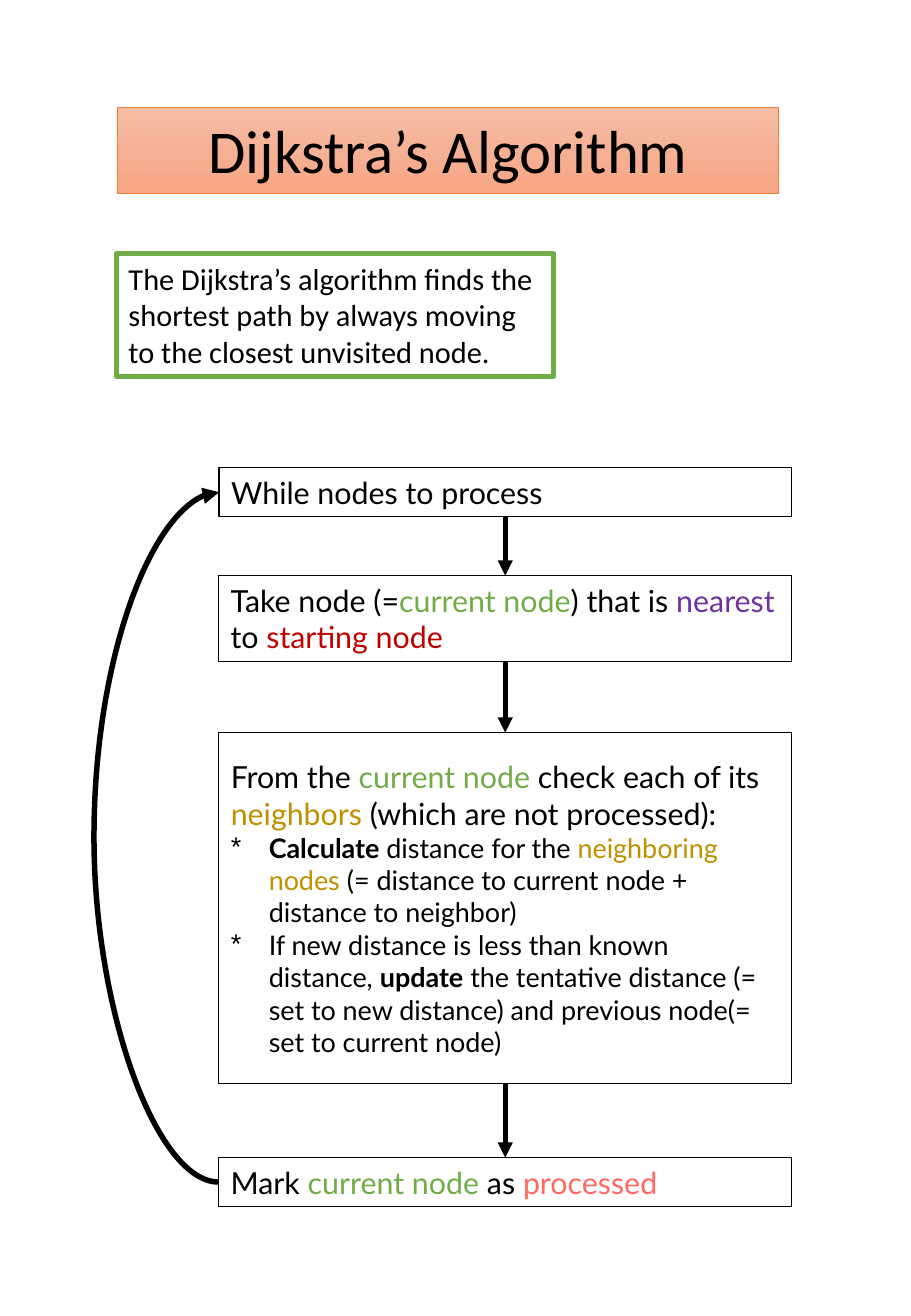
from copy import deepcopy
from dataclasses import dataclass

from pptx import Presentation
from pptx.dml.color import RGBColor
from pptx.enum.shapes import MSO_CONNECTOR
from pptx.enum.text import MSO_ANCHOR, MSO_AUTO_SIZE, PP_ALIGN
from pptx.oxml.ns import qn
from pptx.shapes.autoshape import Shape
from pptx.shapes.connector import Connector
from pptx.util import Pt
from lxml.etree import SubElement

BLACK = RGBColor(0x00, 0x00, 0x00)
GREEN = RGBColor(0x70, 0xAD, 0x47)
PURPLE = RGBColor(0x70, 0x30, 0xA0)
RED = RGBColor(0xC0, 0x00, 0x00)
GOLD = RGBColor(0xBF, 0x90, 0x00)
CORAL = RGBColor(0xFF, 0x69, 0x61)
ORANGE = RGBColor(0xED, 0x7D, 0x31)
BLEND = [(0, RGBColor(0xF7, 0xBD, 0xA5)),
         (0.5, RGBColor(0xF5, 0xB1, 0x96)),
         (1, RGBColor(0xF8, 0xA5, 0x82))]

LEFT, WIDTH = 129.6, 339.8
INDENT = 22.5
NUDGE = 0.3   # the first step sits slightly right of the others
BULGE = 71.1  # reach of the loop to the left of the steps


@dataclass
class Run:
    text: str
    color: RGBColor = BLACK
    bold: bool = False


@dataclass
class Para:
    runs: list[Run]
    size: float = 18
    font: str = "Lato"
    bullet: str = ""
    align: PP_ALIGN = PP_ALIGN.LEFT


@dataclass
class Box:
    left: float
    top: float
    width: float
    height: float
    paras: list[Para]
    line: RGBColor = BLACK
    weight: float = 0.75
    anchor: MSO_ANCHOR = MSO_ANCHOR.MIDDLE


def write(shape: Shape, paras: list[Para]) -> None:
    frame = shape.text_frame
    for n, para in enumerate(paras):
        p = frame.add_paragraph() if n else frame.paragraphs[0]
        p.alignment = para.align
        p.space_before = Pt(0)
        props = p._p.get_or_add_pPr()
        if para.bullet:
            props.set("marL", str(Pt(INDENT)))
            props.set("indent", str(Pt(-INDENT)))
            SubElement(props, qn("a:buChar"), char=para.bullet)
        else:
            props.set("marL", "0")
            props.set("indent", "0")
            SubElement(props, qn("a:buNone"))
        p.font.size = Pt(para.size)
        p.font.name = para.font
        p.font.color.rgb = BLACK
        for part in para.runs:
            run = p.add_run()
            run.text = part.text
            if part.color != BLACK:
                run.font.color.rgb = part.color
            if part.bold:
                run.font.bold = True


def fit(shape: Shape, box: Box) -> Shape:
    shape.left, shape.top = Pt(box.left), Pt(box.top)
    shape.width, shape.height = Pt(box.width), Pt(box.height)
    shape.line.color.rgb = box.line
    shape.line.width = Pt(box.weight)
    frame = shape.text_frame
    frame.word_wrap = True
    frame.auto_size = MSO_AUTO_SIZE.NONE
    frame.vertical_anchor = box.anchor
    write(shape, box.paras)
    return shape


def join(kind: MSO_CONNECTOR, start: Shape, out: int,
         end: Shape, into: int, weight: float) -> Connector:
    arrow = slide.shapes.add_connector(kind, 0, 0, 0, 0)
    arrow.begin_connect(start, out)
    arrow.end_connect(end, into)
    arrow.line.color.rgb = BLACK
    arrow.line.width = Pt(weight)
    props = arrow._element.spPr
    SubElement(props.find(qn("a:ln")), qn("a:tailEnd"), type="triangle")
    SubElement(props, qn("a:effectLst"))
    return arrow


deck = Presentation()
deck.slide_width, deck.slide_height = Pt(540), Pt(780)
slide = deck.slides.add_slide(deck.slide_layouts[1])
title, body = slide.placeholders

# Title banner
fit(title, Box(69.8, 63.4, 391.7, 51.1,
               [Para([Run("Dijkstra’s Algorithm")], 36, "Calibri",
                     align=PP_ALIGN.CENTER)],
               ORANGE, 0.5, MSO_ANCHOR.TOP))
title.fill.gradient()
title.fill.gradient_angle = 270
stops = title._element.spPr.find(".//" + qn("a:gsLst"))
stops.append(deepcopy(stops[0]))
for stop, (place, color) in zip(title.fill.gradient_stops, BLEND):
    stop.position = place
    stop.color.rgb = color

# Summary
fit(slide.shapes.add_textbox(0, 0, 0, 0),
    Box(69.1, 150.5, 259.2, 72.7,
        [Para([Run("The Dijkstra’s algorithm finds the shortest path by "
                   "always moving to the closest unvisited node.")],
              font="Calibri")],
        GREEN, 3, MSO_ANCHOR.TOP))

# Steps of the loop
check = [
    Para([Run("From the "), Run("current node", GREEN),
          Run(" check each of its "), Run("neighbors", GOLD),
          Run(" (which are not processed):")]),
    Para([Run("Calculate", bold=True), Run(" distance for the "),
          Run("neighboring nodes ", GOLD),
          Run("(= distance to current node + distance to neighbor)")],
         16, bullet="*"),
    Para([Run("If new distance is less than known distance, "),
          Run("update", bold=True),
          Run(" the tentative distance (= set to new distance) and "
              "previous node(= set to current node)")],
         16, bullet="*"),
]
boxes = [
    Box(LEFT + NUDGE, 277.2, WIDTH - 2 * NUDGE, 29.1,
        [Para([Run("While nodes to process")])]),
    Box(LEFT, 341.2, WIDTH, 50.9,
        [Para([Run("Take node (="), Run("current node", GREEN),
               Run(") that is "), Run("nearest", PURPLE), Run(" to "),
               Run("starting node", RED)])]),
    Box(LEFT, 434.2, WIDTH, 208, check),
    Box(LEFT, 686.1, WIDTH, 29.1,
        [Para([Run("Mark "), Run("current node", GREEN), Run(" as "),
               Run("processed", CORAL)])]),
]
steps = [fit(body if box.paras is check
             else slide.shapes.add_textbox(0, 0, 0, 0), box)
         for box in boxes]

# Arrows between steps
for start, end in zip(steps, steps[1:]):
    join(MSO_CONNECTOR.STRAIGHT, start, 2, end, 0, 3)

# Loop back to the first step
loop = join(MSO_CONNECTOR.CURVE, steps[-1], 1, steps[0], 1, 3.25)
guides = loop._element.spPr.find(qn("a:prstGeom")).get_or_add_avLst()
bend = round(-BULGE / NUDGE * 100000)
SubElement(guides, qn("a:gd"), name="adj1", fmla=f"val {bend}")

deck.save("out.pptx")
